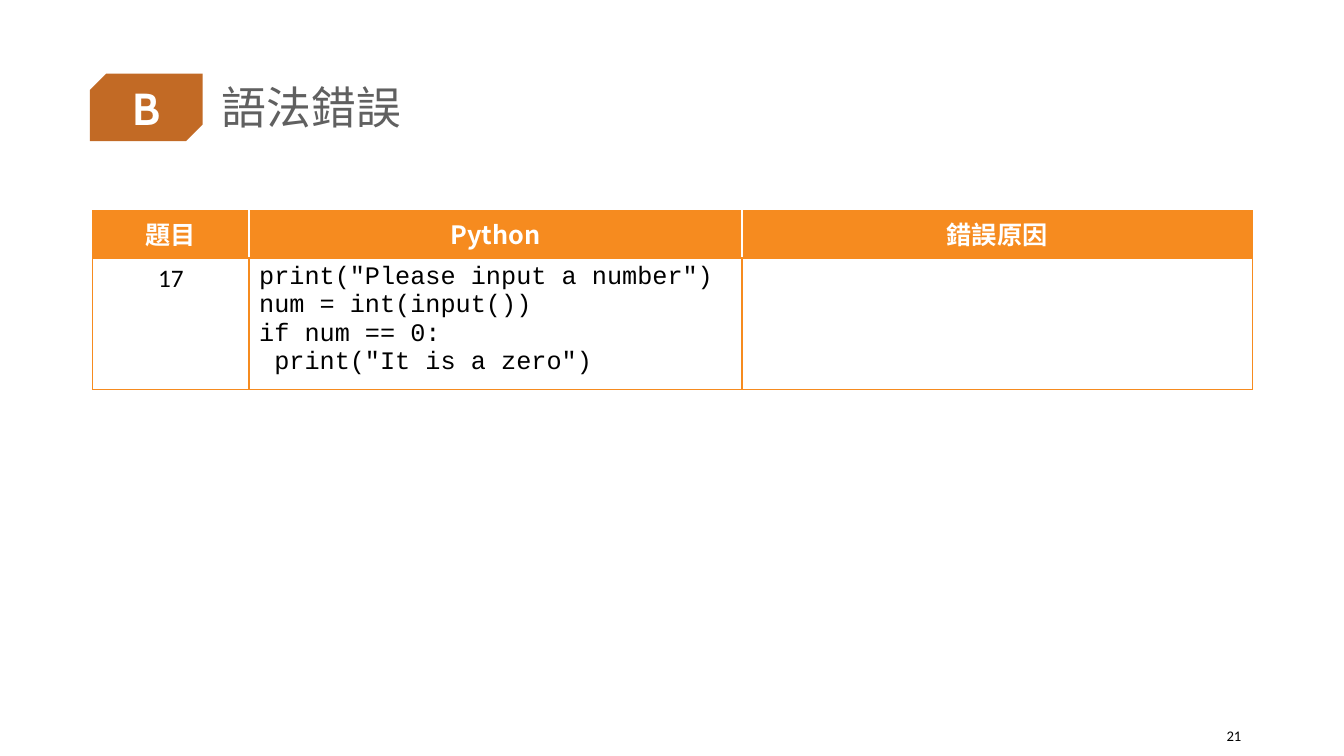
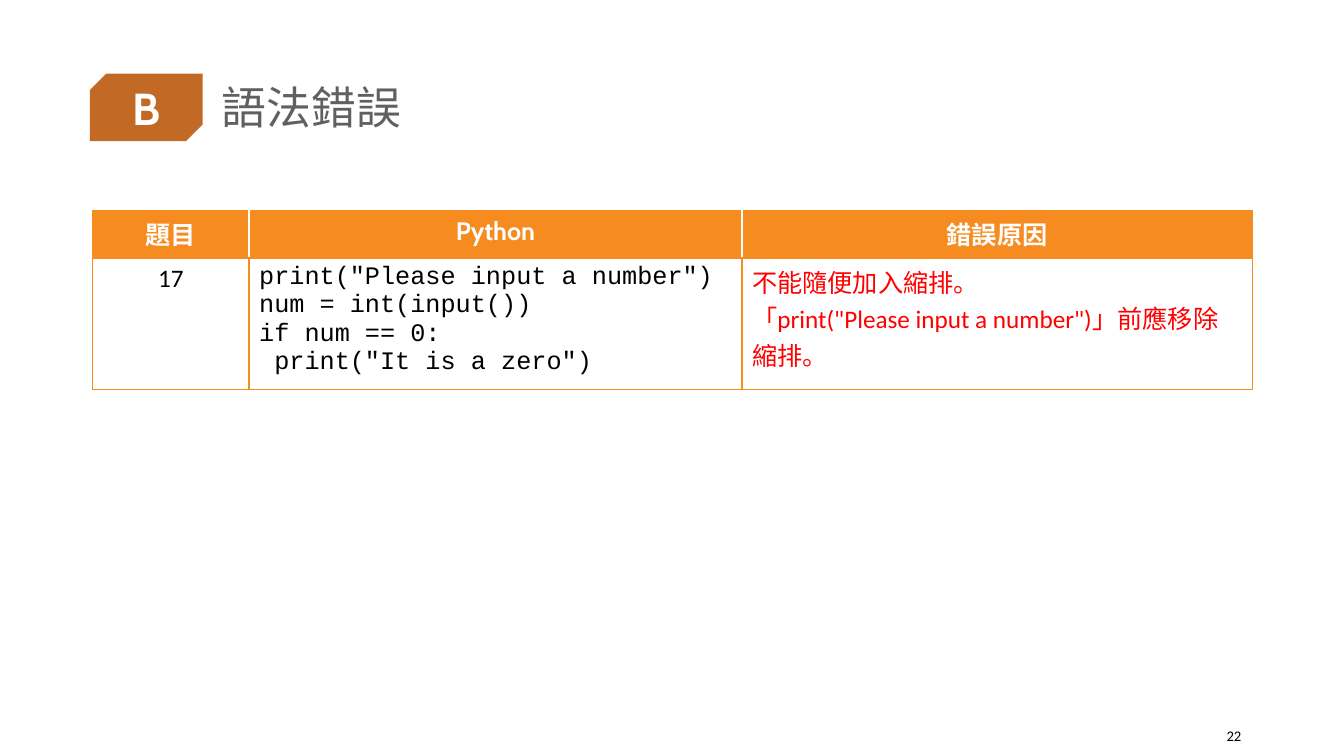
from lxml.etree import SubElement
from pptx import Presentation
from pptx.dml.color import RGBColor
from pptx.enum.shapes import MSO_SHAPE
from pptx.enum.text import MSO_ANCHOR, PP_ALIGN
from pptx.oxml.ns import qn
from pptx.util import Inches, Pt

ORANGE = RGBColor(0xF6, 0x8B, 0x1F)
BROWN = RGBColor(0xC2, 0x6A, 0x25)
GREY = RGBColor(0x60, 0x60, 0x60)
WHITE = RGBColor(0xFF, 0xFF, 0xFF)
BLACK = RGBColor(0, 0, 0)
RED = RGBColor(0xFF, 0, 0)

CHINESE_FONT = "Noto Sans CJK TC"
HEADING_FONT = "Cabin"
BODY_FONT = "Calibri"
CODE_FONT = "Courier New"

SECTION = "B"
TITLE = "語法錯誤"
HEADERS = ["題目", "Python", "錯誤原因"]
QUESTION = "17"
CODE = """print("Please input a number")
num = int(input())
if num == 0:
 print("It is a zero")"""
REASON = """不能隨便加入縮排。
「print("Please input a number")」前應移除縮排。"""

SLIDES = [
    {"number": 21, "header_font": CHINESE_FONT, "reason": ""},
    {"number": 22, "header_font": HEADING_FONT, "reason": REASON},
]

COLUMN_WIDTHS = [1.55, 4.89, 5.06]
ROW_HEIGHTS = [0.47, 1.23]


def write_text(text_frame, text, font_name, size, color, bold=False, align=PP_ALIGN.LEFT):
    """Fill a frame, one paragraph a line, with Chinese glyphs in CHINESE_FONT."""
    text_frame.text = text
    for paragraph in text_frame.paragraphs:
        paragraph.alignment = align
        for run in paragraph.runs:
            font = run.font
            font.name, font.size, font.bold = font_name, Pt(size), bold
            font.color.rgb = color
            east_asian = SubElement(run._r.get_or_add_rPr(), qn("a:ea"))
            east_asian.set("typeface", CHINESE_FONT)


def add_text(slide, box, text, *style, **options):
    text_frame = slide.shapes.add_textbox(*map(Inches, box)).text_frame
    text_frame.word_wrap = True
    text_frame.vertical_anchor = MSO_ANCHOR.MIDDLE
    write_text(text_frame, text, *style, **options)
    return text_frame


def add_frame(slide, number):
    """Add the section badge, the title and the slide number."""
    badge = slide.shapes.add_shape(
        MSO_SHAPE.SNIP_2_DIAG_RECTANGLE, *map(Inches, (0.89, 0.73, 1.12, 0.67)))
    badge.adjustments[0], badge.adjustments[1] = 0.245, 0
    badge.shadow.inherit = False
    badge.fill.solid()
    badge.fill.fore_color.rgb = BROWN
    badge.line.fill.background()

    title = add_text(slide, (2.1, 0.4, 10.32, 1.38), TITLE, CHINESE_FONT, 32, GREY)
    title.paragraphs[0].line_spacing = 0.9
    add_text(slide, (11.57, 7.1, 0.84, 0.4), str(number), BODY_FONT, 10.5, BLACK,
             align=PP_ALIGN.RIGHT)
    add_text(slide, (0.92, 0.75, 1.06, 0.64), SECTION, HEADING_FONT, 32, WHITE,
             bold=True, align=PP_ALIGN.CENTER)


def set_borders(cell, left, right):
    properties = cell._tc.get_or_add_tcPr()
    for side, color in (("L", left), ("R", right), ("T", ORANGE), ("B", ORANGE)):
        line = SubElement(properties, qn(f"a:ln{side}"), w=str(Pt(1)))
        fill = SubElement(line, qn("a:solidFill"))
        SubElement(fill, qn("a:srgbClr"), val=str(color))


def add_error_table(slide, header_font, reason):
    table = slide.shapes.add_table(
        len(ROW_HEIGHTS), len(COLUMN_WIDTHS), Inches(0.92), Inches(2.09),
        Inches(sum(COLUMN_WIDTHS)), Inches(sum(ROW_HEIGHTS))).table
    table.first_row = table.horz_banding = False
    for column, width in zip(table.columns, COLUMN_WIDTHS):
        column.width = Inches(width)
    for row, height in zip(table.rows, ROW_HEIGHTS):
        row.height = Inches(height)

    last = len(HEADERS) - 1
    for index, header in enumerate(HEADERS):
        cell = table.cell(0, index)
        set_borders(cell, WHITE if index > 0 else ORANGE, WHITE if index < last else ORANGE)
        cell.fill.solid()
        cell.fill.fore_color.rgb = ORANGE
        write_text(cell.text_frame, header, header_font, 18, WHITE,
                   bold=True, align=PP_ALIGN.CENTER)

    answers = [
        (QUESTION, BODY_FONT, BLACK, PP_ALIGN.CENTER),
        (CODE, CODE_FONT, BLACK, PP_ALIGN.LEFT),
        (reason, BODY_FONT, RED, PP_ALIGN.LEFT),
    ]
    for index, (text, font_name, color, align) in enumerate(answers):
        cell = table.cell(1, index)
        set_borders(cell, ORANGE, ORANGE)
        cell.fill.background()
        write_text(cell.text_frame, text, font_name, 18, color, align=align)


def main():
    presentation = Presentation()
    presentation.slide_width = Inches(13.33)
    presentation.slide_height = Inches(7.5)
    for content in SLIDES:
        slide = presentation.slides.add_slide(presentation.slide_layouts[6])
        add_frame(slide, content["number"])
        add_error_table(slide, content["header_font"], content["reason"])
    presentation.save("out.pptx")


if __name__ == "__main__":
    main()
